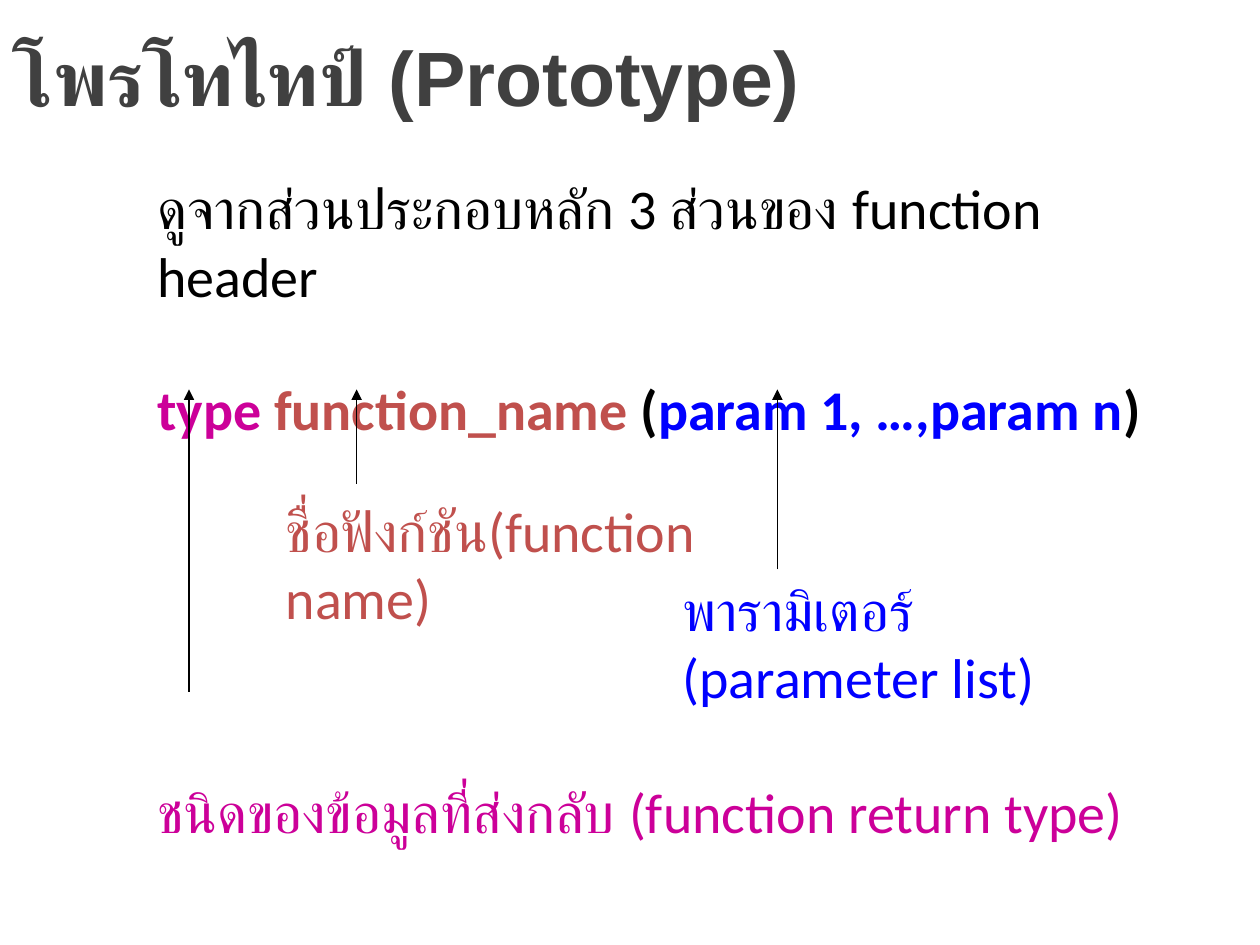
from lxml import etree
from pptx import Presentation
from pptx.dml.color import RGBColor
from pptx.enum.shapes import MSO_CONNECTOR
from pptx.enum.text import MSO_ANCHOR, MSO_AUTO_SIZE, PP_ALIGN
from pptx.oxml.ns import qn
from pptx.util import Cm, Pt

STRAIGHT = MSO_CONNECTOR.STRAIGHT
MIDDLE, TOP = MSO_ANCHOR.MIDDLE, MSO_ANCHOR.TOP
GROW = MSO_AUTO_SIZE.SHAPE_TO_FIT_TEXT
LEFT = PP_ALIGN.LEFT

BLACK = RGBColor(0x00, 0x00, 0x00)
GREY = RGBColor(0x40, 0x40, 0x40)
MAGENTA = RGBColor(0xCC, 0x00, 0x99)
RED = RGBColor(0xC0, 0x50, 0x4D)
BLUE = RGBColor(0x00, 0x00, 0xFF)

TITLE_ONLY = 5
ARROW_TIP = 7.85  # all arrows end at the signature line


def add_run(p, text, color, size=32, bold=False, font="Calibri"):
    r = p.add_run()
    r.text = text
    r.font.name = font
    r.font.size = Pt(size)
    r.font.bold = bold
    r.font.color.rgb = color


def add_title(s, x, y, w, h):
    sp = s.shapes.title
    sp.left, sp.top, sp.width, sp.height = Cm(x), Cm(y), Cm(w), Cm(h)
    tf = sp.text_frame
    tf.vertical_anchor = MIDDLE
    p = tf.paragraphs[0]
    p.alignment = LEFT
    add_run(p, "โพรโทไทป์ (Prototype)", GREY, 44, True, "Arial")


def add_text(s, x, y, w, h, paragraphs):
    """Each paragraph is (space before in points, [(text, colour, bold), ...])."""
    tf = s.shapes.add_textbox(Cm(x), Cm(y), Cm(w), Cm(h)).text_frame
    tf.word_wrap = True
    tf.auto_size = GROW
    tf.vertical_anchor = TOP
    for i, (gap, runs) in enumerate(paragraphs):
        p = tf.add_paragraph() if i else tf.paragraphs[0]
        if gap:
            p.space_before = Pt(gap)
        for text, color, bold in runs:
            add_run(p, text, color, bold=bold)


def add_up_arrow(s, x, y):
    line = s.shapes.add_connector(STRAIGHT, Cm(x), Cm(y), Cm(x), Cm(ARROW_TIP))
    line.line.color.rgb = BLACK
    line.line.width = Pt(0.75)
    etree.SubElement(line.line._get_or_add_ln(), qn("a:tailEnd"), type="triangle")
    etree.SubElement(line._element.spPr, qn("a:effectLst"))


def add_header_parts(s, x, y, w, h):
    # Introduction, signature and return type
    add_text(s, x, y, w, h, [
        (0, [("ดูจากส่วนประกอบหลัก 3 ส่วนของ function header", BLACK, False)]),
        (38, [("type ", MAGENTA, True),
              ("function_name", RED, True),
              (" (", BLACK, True),
              ("param 1, …,param n", BLUE, True),
              (")", BLACK, True)]),
        (192, [("ชนิดของข้อมูลที่ส่งกลับ (function return type)", MAGENTA, False)]),
    ])
    # Labels below the signature
    labels = [
        (2.59, 6.5, 9.73, "ชื่อฟังก์ชัน(function name)", RED),
        (10.59, 8.1, 9.5, "พารามิเตอร์ (parameter list)", BLUE),
    ]
    for dx, dy, width, text, color in labels:
        add_text(s, x + dx, y + dy, width, 1.62, [(0, [(text, color, False)])])
    # Arrows up to the signature
    for dx, dy in [(0.89, 10.56), (4.27, 6.37), (12.75, 8.1)]:
        add_up_arrow(s, x + dx, y + dy)


def main():
    prs = Presentation()
    prs.slide_width, prs.slide_height = Cm(25.4), Cm(19.05)
    s = prs.slides.add_slide(prs.slide_layouts[TITLE_ONLY])
    add_title(s, 0, 0.05, 25.4, 2.97)
    add_header_parts(s, 2.92, 3.38, 20.37, 12.57)
    prs.save("out.pptx")


if __name__ == "__main__":
    main()
